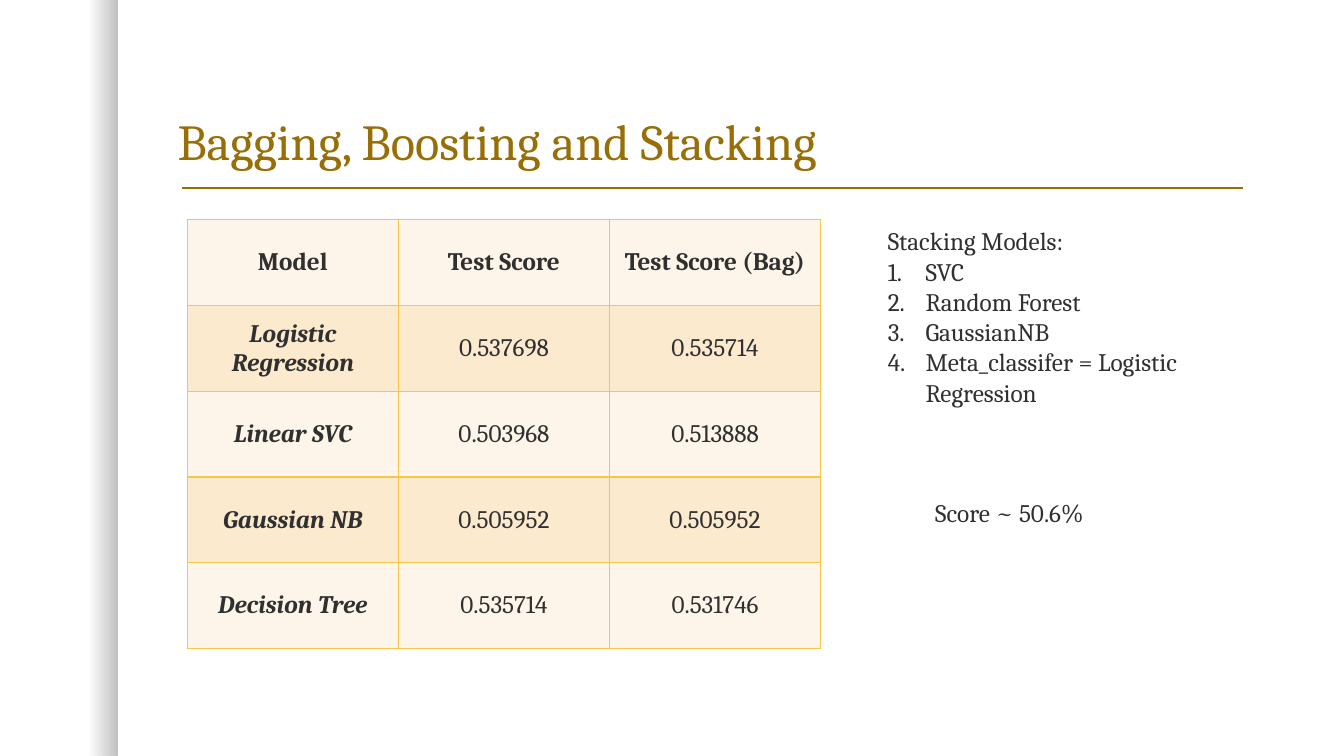
from dataclasses import dataclass

from lxml import etree
from pptx import Presentation
from pptx.dml.color import RGBColor
from pptx.enum import shapes, text
from pptx.oxml import ns
from pptx.util import Cm, Pt


@dataclass(frozen=True)
class Theme:
    font: str = "Cambria"
    title_size: int = 36
    text_size: int = 18
    accent: str = "986F07"
    ink: str = "303030"
    shade: str = "000000"
    border: str = "F7C547"
    bands: tuple = ("FDF5E9", "FCEACF")


THEME = Theme()

SCORES = [
    ("Model", "Test Score", "Test Score (Bag)"),
    ("Logistic Regression", "0.537698", "0.535714"),
    ("Linear SVC", "0.503968", "0.513888"),
    ("Gaussian NB", "0.505952", "0.505952"),
    ("Decision Tree", "0.535714", "0.531746"),
]
STACKING_MODELS = ["SVC", "Random Forest", "GaussianNB", "Meta_classifer = Logistic Regression"]


def apply(target, values):
    for name, value in values.items():
        setattr(target, name, value)


def place(shape, left, top, width, height):
    apply(shape, {"left": Cm(left), "top": Cm(top), "width": Cm(width), "height": Cm(height)})


def add_element(parent, tag, **attributes):
    return etree.SubElement(parent, ns.qn(tag), attributes)


def write(paragraph, words, size=THEME.text_size, color=THEME.ink, bold=False, italic=False):
    run = paragraph.add_run()
    run.text = words
    apply(run.font, {"name": THEME.font, "size": Pt(size), "bold": bold, "italic": italic})
    run.font.color.rgb = RGBColor.from_string(color)


def format_frame(frame, anchor=text.MSO_ANCHOR.TOP):
    apply(frame, {"word_wrap": True, "auto_size": text.MSO_AUTO_SIZE.NONE, "vertical_anchor": anchor})


def add_edge_shade(slide):
    shade = slide.shapes.add_shape(shapes.MSO_SHAPE.RECTANGLE, 0, 0, Cm(2.95), Cm(19.05))
    shade.shadow.inherit = False
    shade.line.fill.background()
    shade.fill.gradient()
    shade.fill.gradient_angle = 0
    for stop, position, alpha in zip(shade.fill.gradient_stops, (0.75, 1), (0, 25000)):
        stop.position = position
        stop.color.rgb = RGBColor.from_string(THEME.shade)
    colors = shade._element.spPr.findall(".//" + ns.qn("a:srgbClr"))
    for color, alpha in zip(colors, (0, 25000)):
        add_element(color, "a:alpha", val=str(alpha))


def add_rule(slide):
    rule = slide.shapes.add_connector(
        shapes.MSO_CONNECTOR.STRAIGHT, Cm(4.6), Cm(4.74), Cm(31.32), Cm(4.74))
    rule.line.width = Pt(1)
    rule.line.color.rgb = RGBColor.from_string(THEME.accent)
    add_element(rule._element.spPr, "a:effectLst")


def fill_title(slide, words):
    title = slide.shapes.title
    place(title, 4.22, 1.07, 27.3, 3.38)
    format_frame(title.text_frame, text.MSO_ANCHOR.BOTTOM)
    paragraph = title.text_frame.paragraphs[0]
    apply(paragraph, {"alignment": text.PP_ALIGN.LEFT, "line_spacing": 0.9})
    write(paragraph, words, THEME.title_size, THEME.accent)


def format_cell(cell, fill):
    properties = cell._tc.get_or_add_tcPr()
    for side in ("a:lnL", "a:lnR", "a:lnT", "a:lnB"):
        line = add_element(properties, side, w=str(Pt(1)))
        add_element(add_element(line, "a:solidFill"), "a:srgbClr", val=THEME.border)
    cell.fill.solid()
    cell.fill.fore_color.rgb = RGBColor.from_string(fill)
    cell.vertical_anchor = text.MSO_ANCHOR.MIDDLE


def add_score_table(slide):
    column_width, row_height = 5.32, 2.16
    row_count, column_count = len(SCORES), len(SCORES[0])
    table = slide.shapes.add_table(
        row_count, column_count, Cm(4.72), Cm(5.54),
        Cm(column_width * column_count), Cm(row_height * row_count)).table
    for column in table.columns:
        column.width = Cm(column_width)
    for row_index, values in enumerate(SCORES):
        table.rows[row_index].height = Cm(row_height)
        for column_index, value in enumerate(values):
            cell = table.cell(row_index, column_index)
            format_cell(cell, THEME.bands[row_index % 2])
            paragraph = cell.text_frame.paragraphs[0]
            paragraph.alignment = text.PP_ALIGN.CENTER
            is_header, is_name = row_index == 0, column_index == 0
            write(paragraph, value, bold=is_header or is_name, italic=is_name and not is_header)


def set_bullet(paragraph, numbered):
    properties = paragraph._p.get_or_add_pPr()
    indent = Cm(0.95) if numbered else 0
    properties.set("marL", str(indent))
    properties.set("indent", str(-indent))
    if numbered:
        add_element(properties, "a:buFont", typeface="+mj-lt")
        add_element(properties, "a:buAutoNum", type="arabicPeriod")
    else:
        add_element(properties, "a:buNone")


def fill_model_list(slide):
    body = slide.placeholders[1]
    place(body, 22.12, 5.56, 7.8, 5.64)
    frame = body.text_frame
    format_frame(frame)
    for index, words in enumerate(["Stacking Models:"] + STACKING_MODELS):
        paragraph = frame.add_paragraph() if index else frame.paragraphs[0]
        set_bullet(paragraph, numbered=index > 0)
        paragraph.space_before = Pt(0)
        write(paragraph, words)


def add_score(slide, words):
    box = slide.shapes.add_textbox(Cm(23.32), Cm(12.4), Cm(5.41), Cm(1.8))
    format_frame(box.text_frame)
    write(box.text_frame.paragraphs[0], words)


def main():
    presentation = Presentation()
    apply(presentation, {"slide_width": Cm(33.87), "slide_height": Cm(19.05)})
    slide = presentation.slides.add_slide(presentation.slide_layouts[1])
    add_edge_shade(slide)
    add_rule(slide)
    fill_title(slide, "Bagging, Boosting and Stacking")
    add_score_table(slide)
    fill_model_list(slide)
    add_score(slide, "Score ~ 50.6%")
    presentation.save("out.pptx")


if __name__ == "__main__":
    main()
